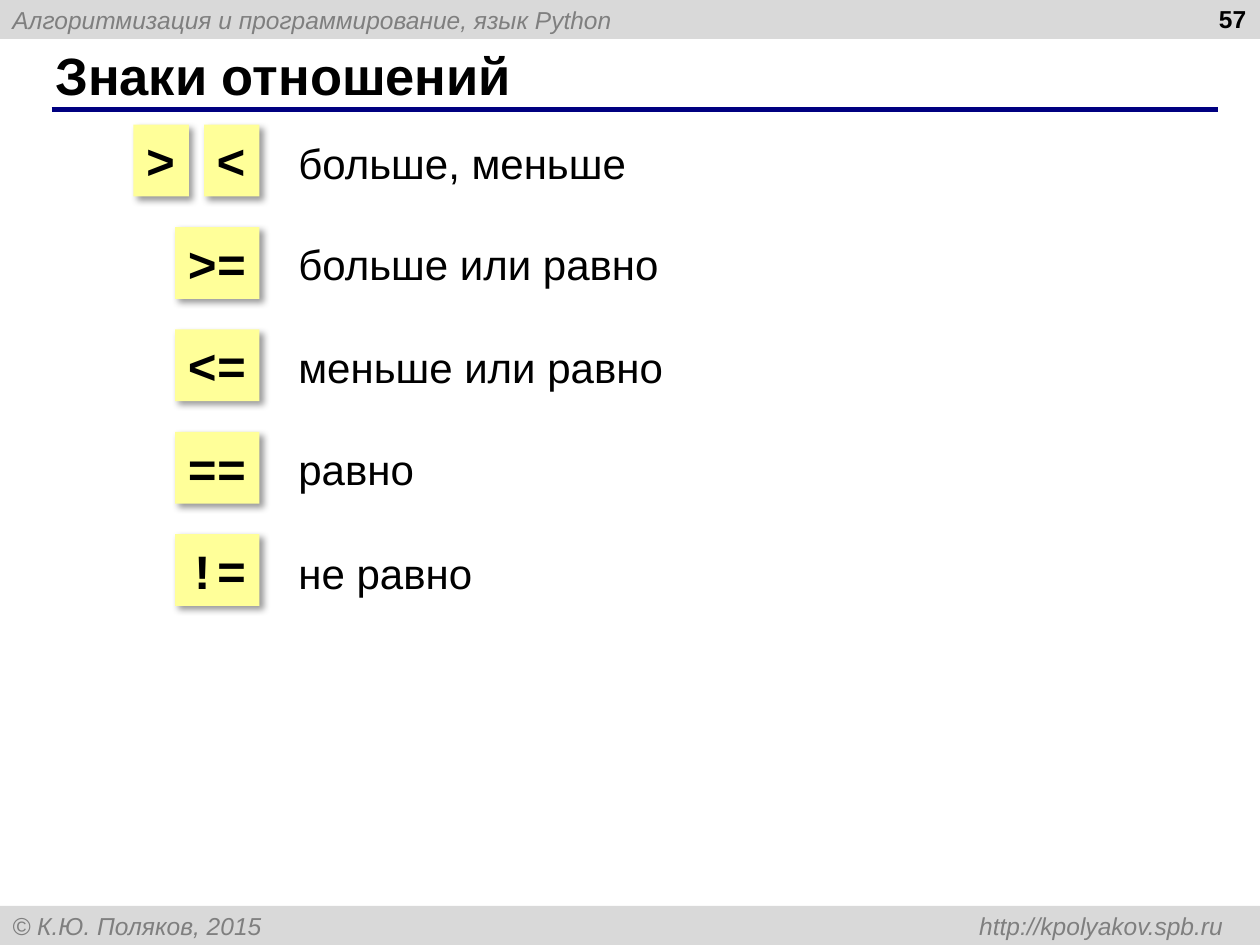
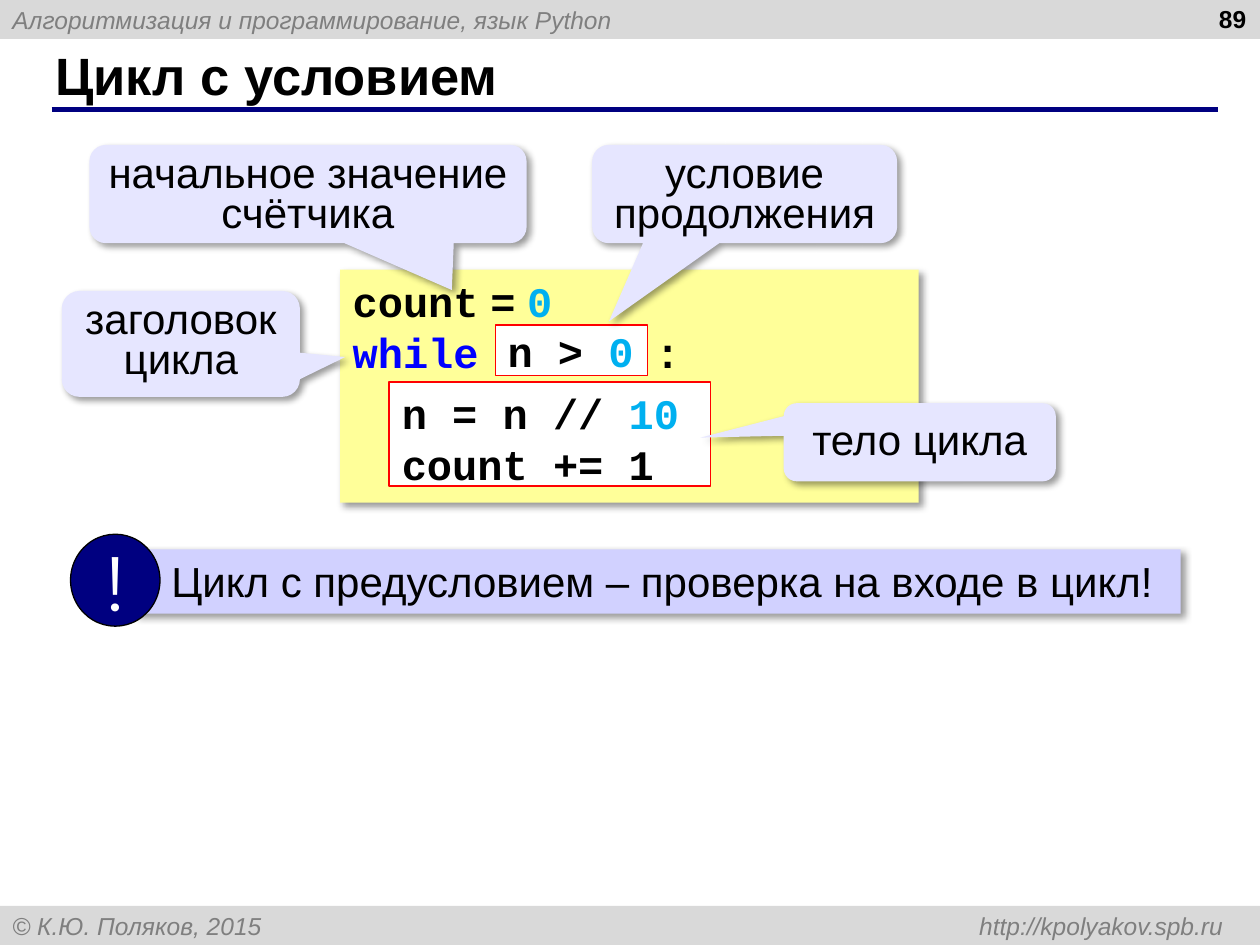
import pptx
import pptx.util
import pptx.dml.color
import pptx.enum.shapes
import pptx.enum.text
import pptx.oxml
import pptx.oxml.ns

Inches = pptx.util.Inches
Pt = pptx.util.Pt
Shape = pptx.enum.shapes.MSO_SHAPE
Align = pptx.enum.text.PP_ALIGN
Anchor = pptx.enum.text.MSO_ANCHOR

BLACK, WHITE, GREY, NAVY, RED = "000000", "FFFFFF", "7F7F7F", "000080", "FF0000"
BAND, YELLOW, LILAC, LAVENDER = "D9D9D9", "FFFF99", "E6E6FF", "D1D1FF"
KEYWORD, NUMBER = "0000FF", "00B0F0"
SANS, MONO = "Arial", "Courier New"
SLIDE_WIDTH, BAND_HEIGHT = 10, 0.31
INSETS = (0.1, 0.05, 0.1, 0.05)


def color(value):
    return pptx.dml.color.RGBColor.from_string(value)


def element(markup):
    namespaces = pptx.oxml.ns.nsdecls("a")
    return pptx.oxml.parse_xml(markup.replace(" ", f" {namespaces} ", 1))


class Lesson:
    """Holds the common style and the slide being filled."""

    def __init__(self):
        self.deck = pptx.Presentation()
        self.deck.slide_width = Inches(SLIDE_WIDTH)
        self.deck.slide_height = Inches(7.5)
        self.slide = None

    def set_text(self, shape, lines, size=24, font=SANS, ink=BLACK, bold=False,
                 italic=False, align=Align.LEFT, anchor=Anchor.TOP, wrap=True,
                 spacing=None, insets=INSETS, tab=None):
        """Each line is a string or a list of (text, colour[, font]) spans."""
        frame = shape.text_frame
        frame.word_wrap = wrap
        frame.vertical_anchor = anchor
        (frame.margin_left, frame.margin_top,
         frame.margin_right, frame.margin_bottom) = map(Inches, insets)
        for index, line in enumerate(lines):
            para = frame.add_paragraph() if index else frame.paragraphs[0]
            para.alignment = align
            if spacing:
                para.line_spacing = spacing
            if tab:
                position, side = tab
                para._p.get_or_add_pPr().append(element(
                    f'<a:tabLst ><a:tab pos="{Inches(position)}" algn="{side}"/></a:tabLst>'))
            spans = [(line, ink)] if isinstance(line, str) else line
            for text, span_ink, *span_font in spans:
                span = para.add_run()
                span.text = text
                span.font.size = Pt(size)
                span.font.name = span_font[0] if span_font else font
                span.font.bold = bold
                span.font.italic = italic
                span.font.color.rgb = color(span_ink)

    def text(self, place, line, **style):
        box = self.slide.shapes.add_textbox(*map(Inches, place))
        self.set_text(box, [line], **style)

    def shape(self, kind, place, fill, lines, line=None, line_width=0.75,
              shadow=False, pointer=None, **style):
        shape = self.slide.shapes.add_shape(kind, *map(Inches, place))
        shape.fill.solid()
        shape.fill.fore_color.rgb = color(fill)
        if line:
            shape.line.color.rgb = color(line)
            shape.line.width = Pt(line_width)
        else:
            shape.line.fill.background()
        shape.shadow.inherit = False
        if shadow:
            effects = shape._element.spPr.find(pptx.oxml.ns.qn("a:effectLst"))
            effects.append(element(
                f'<a:outerShdw blurRad="{Pt(4)}" dist="{Pt(3)}" dir="2700000" '
                'algn="tl" rotWithShape="0"><a:srgbClr val="000000">'
                '<a:alpha val="40000"/></a:srgbClr></a:outerShdw>'))
        if pointer:
            shape.adjustments[0], shape.adjustments[1] = pointer
        self.set_text(shape, lines, **style)

    def rule(self, left, right, top):
        rule = self.slide.shapes.add_connector(
            pptx.enum.shapes.MSO_CONNECTOR.STRAIGHT,
            Inches(left), Inches(top), Inches(right), Inches(top))
        rule.line.color.rgb = color(NAVY)
        rule.line.width = Pt(3)
        rule._element.spPr.append(element("<a:effectLst />"))

    def band(self, top, line, tab=None):
        self.shape(Shape.RECTANGLE, (0, top, SLIDE_WIDTH, BAND_HEIGHT), BAND,
                   [line], size=14, ink=GREY, italic=True,
                   anchor=Anchor.MIDDLE, tab=tab)

    def page(self, title, number):
        self.slide = self.deck.slides.add_slide(self.deck.slide_layouts[6])
        self.band(0, "Алгоритмизация и программирование, язык Python")
        self.band(7.19, "© К.Ю. Поляков, 2015\thttp://kpolyakov.spb.ru", (9.61, "r"))
        self.rule(0.41, 9.67, 0.87)
        self.text((0.34, 0.33, 9.16, 0.52), title, size=30, bold=True,
                  anchor=Anchor.MIDDLE)
        self.text((7.66, -0.02, 2.33, 0.52), number, size=14, bold=True,
                  align=Align.RIGHT)

    def sign(self, right, top, symbol):
        width = 0.21 + 0.23 * len(symbol)
        self.shape(Shape.RECTANGLE, (right - width, top, width, 0.57), YELLOW,
                   [symbol], shadow=True, size=28, font=MONO, bold=True, wrap=False)

    def callout(self, place, line, pointer, spacing=0.8):
        self.shape(Shape.ROUNDED_RECTANGULAR_CALLOUT, place, LILAC, [line],
                   shadow=True, pointer=pointer, align=Align.CENTER, spacing=spacing)

    def code(self, place, lines, fill=WHITE, **style):
        self.shape(Shape.RECTANGLE, place, fill, lines, font=MONO, bold=True, **style)


def relations(lesson):
    lesson.page("Знаки отношений", "57")
    rows = [((">", "<"), "больше, меньше", 1.04),
            ((">=",), "больше или равно", 1.84),
            (("<=",), "меньше или равно", 2.66),
            (("==",), "равно", 3.47),
            (("!=",), "не равно", 4.3)]
    row_step = (4.24 - 0.99) / (len(rows) - 1)
    for index, (symbols, meaning, meaning_top) in enumerate(rows):
        for place, symbol in enumerate(reversed(symbols)):
            lesson.sign(2.06 - 0.56 * place, 0.99 + row_step * index, symbol)
        lesson.text((2.27, meaning_top, 3.2, 0.5), meaning, wrap=False)


def while_loop(lesson):
    lesson.page("Цикл с условием", "89")

    # Program with its loop body
    lesson.code((2.7, 2.14, 4.59, 1.85), [
        [("count", BLACK), (" ", BLACK, SANS), ("=", BLACK),
         (" ", BLACK, SANS), ("0", NUMBER)],
        [("while", KEYWORD), ("\t:", BLACK)],
    ], fill=YELLOW, shadow=True, tab=(2.4, "l"))
    lesson.code((3.09, 3.03, 2.55, 0.83), [
        [("n = n // ", BLACK), ("10", NUMBER)],
        "count += 1",
    ], line=RED, line_width=1)

    # Explanations around the program
    lesson.callout((6.22, 3.2, 2.16, 0.62), "тело цикла", (-0.806, -0.059), None)
    lesson.callout((0.71, 1.15, 3.47, 0.78), "начальное значение счётчика",
                   (0.329, 0.977))
    lesson.code((3.93, 2.58, 1.21, 0.4), [[("n > ", BLACK), ("0", NUMBER)]],
                line=RED, wrap=False, insets=(0.1, 0, 0.1, 0))
    lesson.callout((4.7, 1.15, 2.42, 0.78), "условие продолжения", (-0.445, 1.296))
    lesson.callout((0.49, 2.31, 1.89, 0.84), "заголовок цикла", (0.69, 0.124))

    # Conclusion with its exclamation mark
    lesson.shape(Shape.RECTANGLE, (1.07, 4.36, 8.3, 0.51), LAVENDER,
                 ["Цикл с предусловием – проверка на входе в цикл!"],
                 shadow=True, insets=(0.29, 0.05, 0.1, 0.05))
    lesson.shape(Shape.OVAL, (0.56, 4.24, 0.71, 0.73), NAVY, ["!"], line=BLACK,
                 size=44, font="Montserrat", ink=WHITE, align=Align.CENTER,
                 anchor=Anchor.MIDDLE, wrap=False)


def main():
    lesson = Lesson()
    relations(lesson)
    while_loop(lesson)
    lesson.deck.save("out.pptx")


if __name__ == "__main__":
    main()
